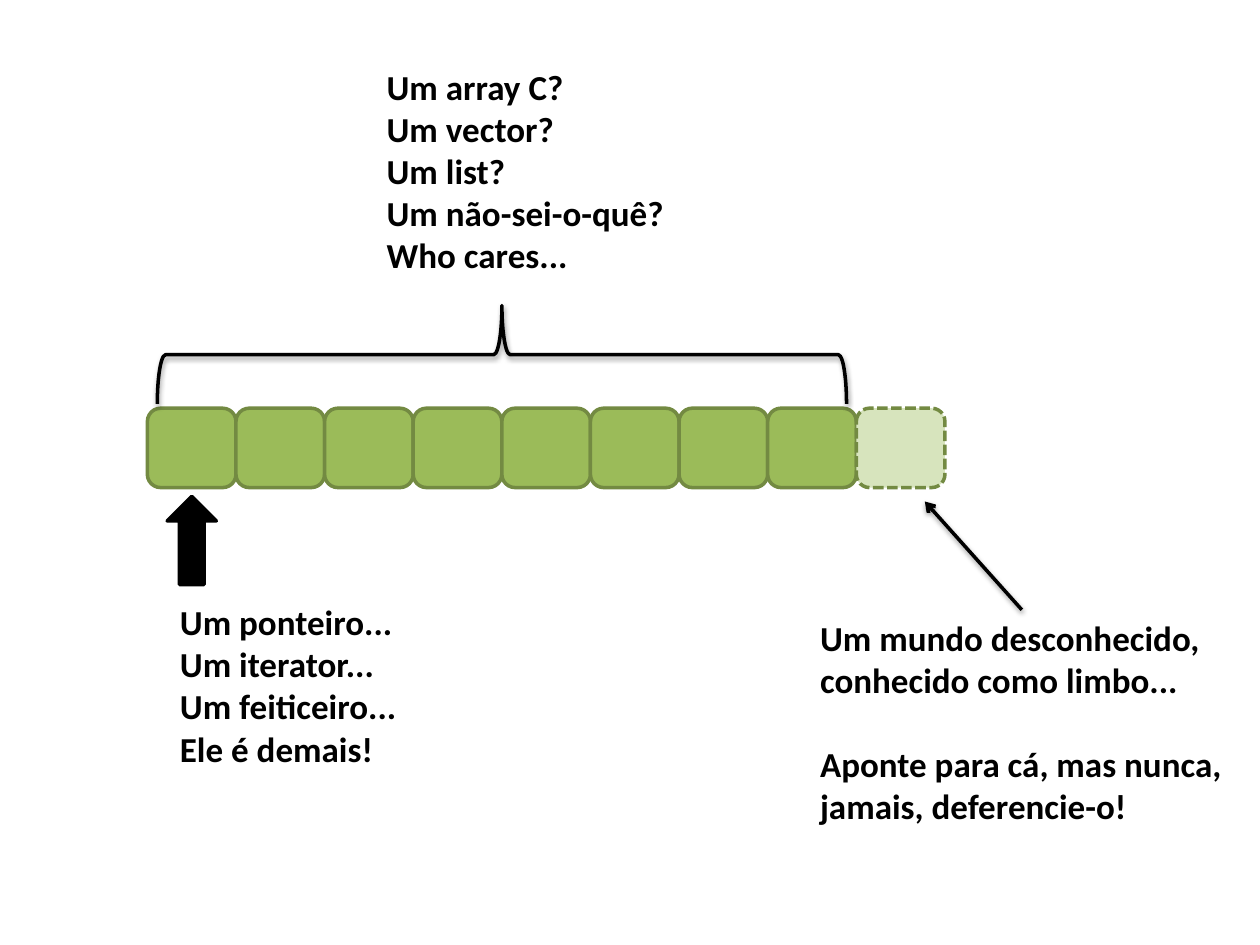
"""Build a slide showing an array of cells, its iterator and the limbo past its end."""
from lxml.etree import SubElement
from pptx import Presentation
from pptx.dml.color import RGBColor
from pptx.enum.dml import MSO_LINE
from pptx.enum.shapes import MSO_CONNECTOR, MSO_SHAPE
from pptx.enum.text import MSO_AUTO_SIZE
from pptx.oxml.ns import qn
from pptx.util import Inches, Pt


def paint(sp, line, fill=None, shadow=False):
    sp.line.color.rgb = RGBColor.from_string(line)
    sp.line.width = Pt(2)
    if fill:
        sp.fill.solid()
        sp.fill.fore_color.rgb = RGBColor.from_string(fill)
    effects = SubElement(sp._element.spPr, qn("a:effectLst"))
    if shadow:
        outer = SubElement(effects, qn("a:outerShdw"), blurRad=str(Pt(3.1)),
                           dist=str(Pt(1.6)), dir="5400000", rotWithShape="0")
        color = SubElement(outer, qn("a:srgbClr"), val="000000")
        SubElement(color, qn("a:alpha"), val="38000")


def add_text(text, x, y, w, h, size=20, font="Calibri", color="000000", bold=True, gap_at=None):
    tf = s.shapes.add_textbox(Inches(x), Inches(y), Inches(w), Inches(h)).text_frame
    tf.word_wrap = False
    tf.auto_size = MSO_AUTO_SIZE.SHAPE_TO_FIT_TEXT
    for i, line in enumerate(text.split("\n")):
        p = tf.add_paragraph() if i else tf.paragraphs[0]
        if i == gap_at:
            p.space_before = Pt(size * 1.2)
        r = p.add_run()
        r.text = line
        r.font.size, r.font.name, r.font.bold = Pt(size), font, bold
        r.font.color.rgb = RGBColor.from_string(color)


prs = Presentation()
prs.slide_width, prs.slide_height = Inches(10), Inches(7.5)
s = prs.slides.add_slide(prs.slide_layouts[6])

cells = 9
left, top, row_w, row_h = 1.17, 3.24, 6.33, 0.63
cell_w = row_w / cells
for i in range(cells):
    sp = s.shapes.add_shape(MSO_SHAPE.ROUNDED_RECTANGLE, Inches(left + i * cell_w),
                            Inches(top), Inches(cell_w), Inches(row_h))
    limbo = i == cells - 1
    paint(sp, "738A42", "D7E4BD" if limbo else "9BBB59")
    if limbo:
        sp.line.dash_style = MSO_LINE.SQUARE_DOT
        sp.line._ln.find(qn("a:prstDash")).set("val", "sysDash")

arrow_w = 0.39
sp = s.shapes.add_shape(MSO_SHAPE.UP_ARROW, Inches(left + (cell_w - arrow_w) / 2),
                        Inches(3.94), Inches(arrow_w), Inches(0.7))
paint(sp, "000000", "000000")
add_text("Um ponteiro...\nUm iterator...\nUm feiticeiro...\nEle é demais!", 1.33, 4.72, 1.94, 1.45)

brace_w, brace_h = 0.78, 5.47
center = left + (cells - 1) * cell_w / 2
sp = s.shapes.add_shape(MSO_SHAPE.LEFT_BRACE, Inches(center - brace_w / 2),
                        Inches(0.08), Inches(brace_w), Inches(brace_h))
sp.rotation = 90
sp.fill.background()
paint(sp, "000000", shadow=True)
add_text("Um array C?\nUm vector?\nUm list?\nUm não-sei-o-quê?\nWho cares...", 2.97, 0.47, 2.42, 1.78)

sp = s.shapes.add_connector(MSO_CONNECTOR.STRAIGHT, Inches(8.11), Inches(4.84),
                            Inches(7.34), Inches(3.98))
paint(sp, "000000", shadow=True)
SubElement(sp.line._ln, qn("a:tailEnd"), type="arrow")
add_text("Um mundo desconhecido,\nconhecido como limbo...\n"
         "Aponte para cá, mas nunca,\njamais, deferencie-o!", 6.41, 4.84, 3.41, 1.78, gap_at=2)

prs.save("out.pptx")
